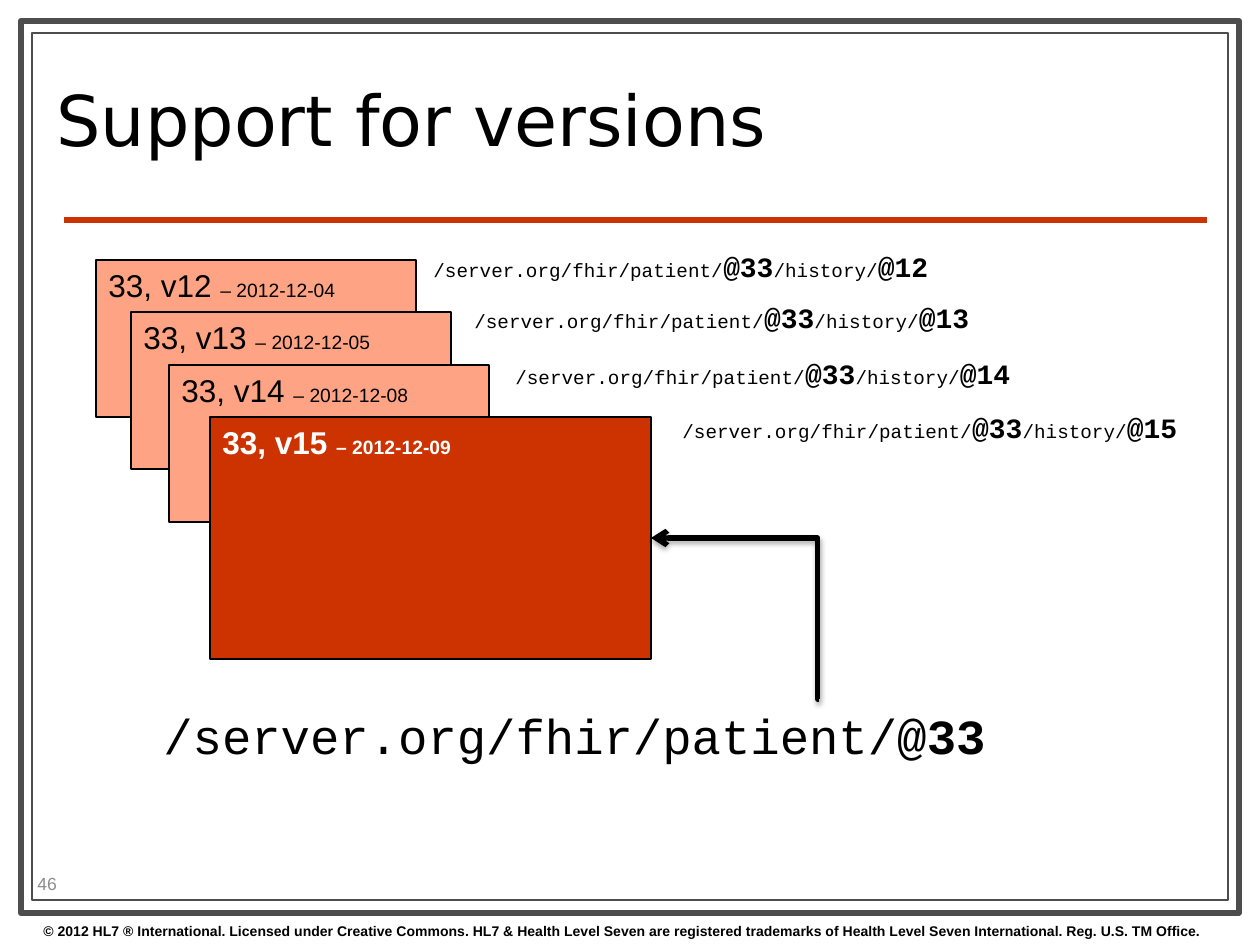
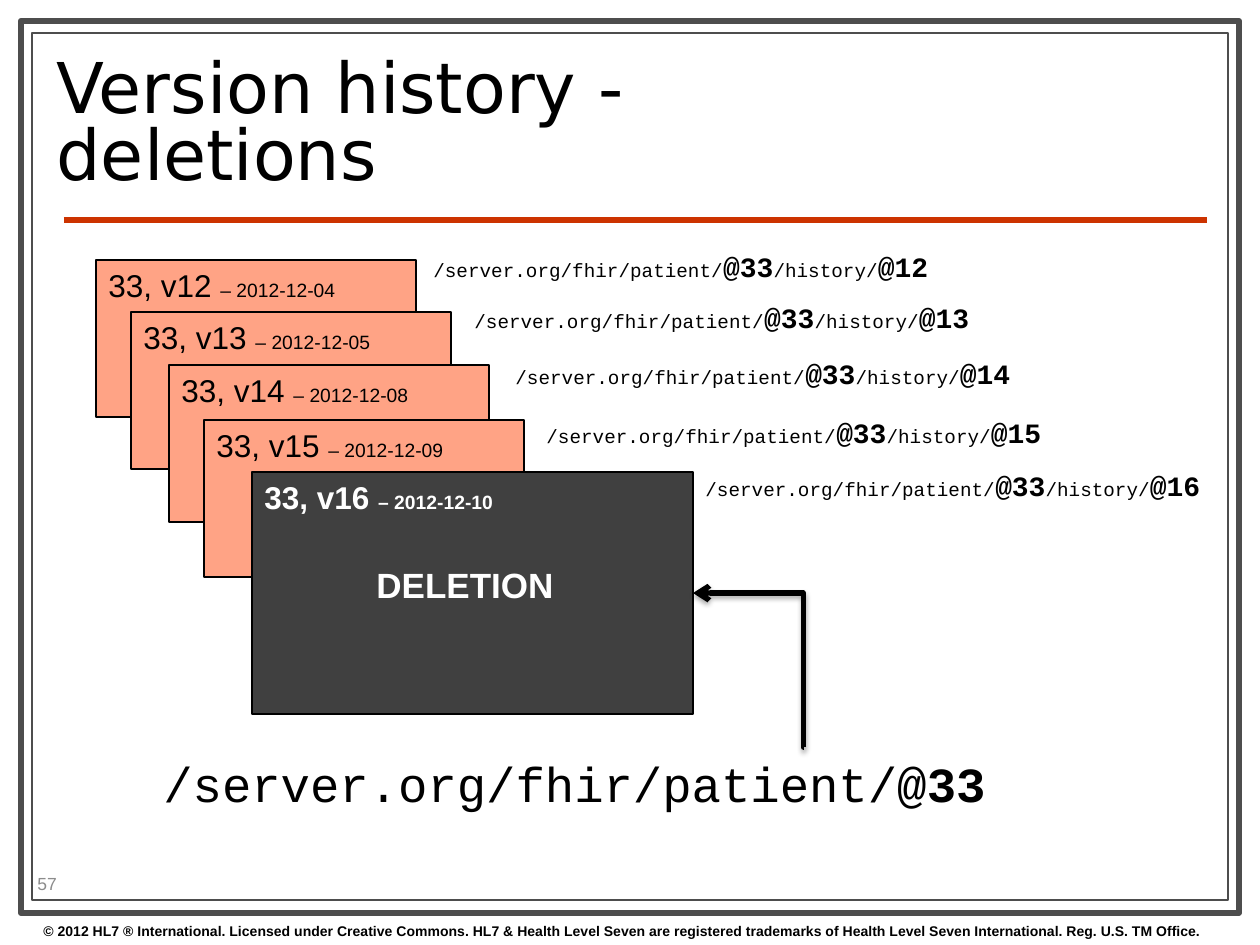
import lxml.etree
import pptx
import pptx.dml.color
import pptx.enum.shapes
import pptx.enum.text
import pptx.oxml.ns
import pptx.util

EMU_PER_PX = 914400 / 126
BLACK, WHITE, GRAY = "000000", "FFFFFF", "4D4D4D"
RED, SALMON, DARK, PALE = "CC3300", "FFA385", "404040", "8C8C8C"
SANS, MONO, TITLE_FONT = "Arial", "Courier New", "DejaVu Sans"
COPYRIGHT = ("© 2012 HL7 ® International. Licensed under Creative Commons. "
             "HL7 & Health Level Seven are registered trademarks of "
             "Health Level Seven International. Reg. U.S. TM Office.")
PATIENT_URL = "/server.org/fhir/patient/"
OLD_SIZE, CURRENT_SIZE = (320, 157), (441, 242)

# version: date, card position, label position
OLD_VERSIONS = {
    12: ("2012-12-04", (96, 260), (421, 243)),
    13: ("2012-12-05", (131, 312), (462, 294)),
    14: ("2012-12-08", (169, 365), (503, 350)),
    15: ("2012-12-09", (204, 420), (534, 409)),
}


def px(*values):
    return [pptx.util.Emu(round(v * EMU_PER_PX)) for v in values]


def rgb(color):
    return pptx.dml.color.RGBColor.from_string(color)


def sub(parent, tag, **attrs):
    """Append a DrawingML child element."""
    el = lxml.etree.SubElement(parent, pptx.oxml.ns.qn(tag))
    for name, value in attrs.items():
        el.set(name, str(value))
    return el


class Deck:
    def __init__(self):
        self.prs = pptx.Presentation()
        self.prs.slide_width, self.prs.slide_height = px(1260, 945)
        self.slide = None

    def start_slide(self, title, number):
        self.slide = self.prs.slides.add_slide(self.prs.slide_layouts[5])
        self.rect((21, 21), (1218, 892), WHITE, GRAY, 3.5)
        self.rect((32, 33), (1196, 867), WHITE, GRAY)
        self.rule((64, 220), (1207, 220))
        self.text((31, 916), (1229, 29), [(COPYRIGHT, 8, True)])
        self.title(title)
        sp = self.text((25, 868), (100, 30), [(str(number), 10, False)], color=PALE)
        sp.text_frame.vertical_anchor = pptx.enum.text.MSO_ANCHOR.MIDDLE

    def title(self, title):
        sp = self.slide.shapes.title
        self.slide.shapes._spTree.append(sp._element)  # in front of the frames
        sp.left, sp.top, sp.width, sp.height = px(44, 45, 903, 163)
        tf = sp.text_frame
        tf.word_wrap = True
        tf.auto_size = pptx.enum.text.MSO_AUTO_SIZE.NONE
        tf.vertical_anchor = pptx.enum.text.MSO_ANCHOR.MIDDLE
        p = tf.paragraphs[0]
        p.line_spacing = 0.8
        self.runs(p, [(title, 40, False)], TITLE_FONT)

    def runs(self, p, parts, font=SANS, color=BLACK):
        """Fill a left-aligned paragraph with (text, size, bold) parts."""
        p.alignment = pptx.enum.text.PP_ALIGN.LEFT
        for text, size, bold in parts:
            r = p.add_run()
            r.text = text
            r.font.name = font
            r.font.size = pptx.util.Pt(size)
            r.font.bold = bold
            r.font.color.rgb = rgb(color)

    def text(self, pos, size, parts, font=SANS, color=BLACK):
        sp = self.slide.shapes.add_textbox(*px(*pos, *size))
        sp.text_frame.word_wrap = True
        self.runs(sp.text_frame.paragraphs[0], parts, font, color)
        return sp

    def rect(self, pos, size, fill, line=BLACK, width=0.75):
        kind = pptx.enum.shapes.MSO_SHAPE.RECTANGLE
        sp = self.slide.shapes.add_shape(kind, *px(*pos, *size))
        sp.shadow.inherit = False
        sp.fill.solid()
        sp.fill.fore_color.rgb = rgb(fill)
        sp.line.color.rgb = rgb(line)
        sp.line.width = pptx.util.Pt(width)
        return sp

    def connector(self, kind, start, end, color):
        """Add a 3 pt connector; return it with its effect list."""
        c = self.slide.shapes.add_connector(kind, *px(*start, *end))
        c.line.color.rgb = rgb(color)
        c.line.width = pptx.util.Pt(3)
        return c, sub(c._element.spPr, "a:effectLst")

    def rule(self, start, end):
        self.connector(pptx.enum.shapes.MSO_CONNECTOR.STRAIGHT, start, end, RED)

    def elbow_arrow(self, start, tip):
        """Arrow up from start, then left to tip."""
        kind = pptx.enum.shapes.MSO_CONNECTOR.ELBOW
        # Laid out from the tip, then turned by 180 degrees
        c, effects = self.connector(kind, tip, start, BLACK)
        sp_pr = c._element.spPr
        sp_pr.find(pptx.oxml.ns.qn("a:xfrm")).set("rot", "10800000")
        geom = sp_pr.find(pptx.oxml.ns.qn("a:prstGeom"))
        guides = geom.find(pptx.oxml.ns.qn("a:avLst"))
        if guides is None:
            guides = sub(geom, "a:avLst")
        sub(guides, "a:gd", name="adj1", fmla="val 800")
        sub(c.line._get_or_add_ln(), "a:tailEnd", type="arrow")
        shadow = sub(effects, "a:outerShdw", blurRad=40000, dist=23000,
                     dir=5400000, rotWithShape=0)
        sub(sub(shadow, "a:srgbClr", val=BLACK), "a:alpha", val=35000)

    def card(self, version, date, pos, size=OLD_SIZE, fill=SALMON, current=False):
        sp = self.rect(pos, size, fill)
        tf = sp.text_frame
        tf.word_wrap = True
        tf.vertical_anchor = pptx.enum.text.MSO_ANCHOR.TOP
        parts = [(f"33, v{version} ", 18, current), (f"– {date}", 11, current)]
        self.runs(tf.paragraphs[0], parts, color=WHITE if current else BLACK)
        return sp

    def history_url(self, version, pos, width):
        parts = [(PATIENT_URL, 11, False), ("@33", 16, True),
                 ("/history/", 11, False), (f"@{version}", 16, True)]
        self.text(pos, (width, 47), parts, MONO)

    def old_versions(self, label_widths):
        for version, width in label_widths.items():
            date, card_pos, label_pos = OLD_VERSIONS[version]
            self.card(version, date, card_pos)
            self.history_url(version, label_pos, width)

    def current_version(self, version, date, pos, fill, label_pos, label_width,
                        arrow_start):
        """Front card, its history address, and the plain address pointing at it."""
        sp = self.card(version, date, pos, CURRENT_SIZE, fill, current=True)
        self.history_url(version, label_pos, label_width)
        parts = [(PATIENT_URL + "@", 28, False), ("33", 28, True)]
        self.text((151, arrow_start[1]), (867, 72), parts, MONO)
        width, height = CURRENT_SIZE
        self.elbow_arrow(arrow_start, (pos[0] + width, pos[1] + height // 2))
        return sp


def main():
    deck = Deck()

    deck.start_slide("Support for versions", 46)
    deck.old_versions({12: 599, 13: 577, 14: 590})
    deck.current_version(15, "2012-12-09", (210, 417), RED, (670, 404), 548,
                         (819, 699))

    deck.start_slide("Version history - deletions", 57)
    deck.old_versions({12: 630, 13: 662, 14: 674, 15: 675})
    sp = deck.current_version(16, "2012-12-10", (252, 472), DARK, (693, 462), 536,
                              (804, 747))
    p = sp.text_frame.add_paragraph()
    p.space_before = pptx.util.Pt(27)
    p._p.get_or_add_pPr().set("marL", str(px(112)[0]))
    deck.runs(p, [("DELETION", 20, True)], color=WHITE)

    deck.prs.save("out.pptx")


if __name__ == "__main__":
    main()
